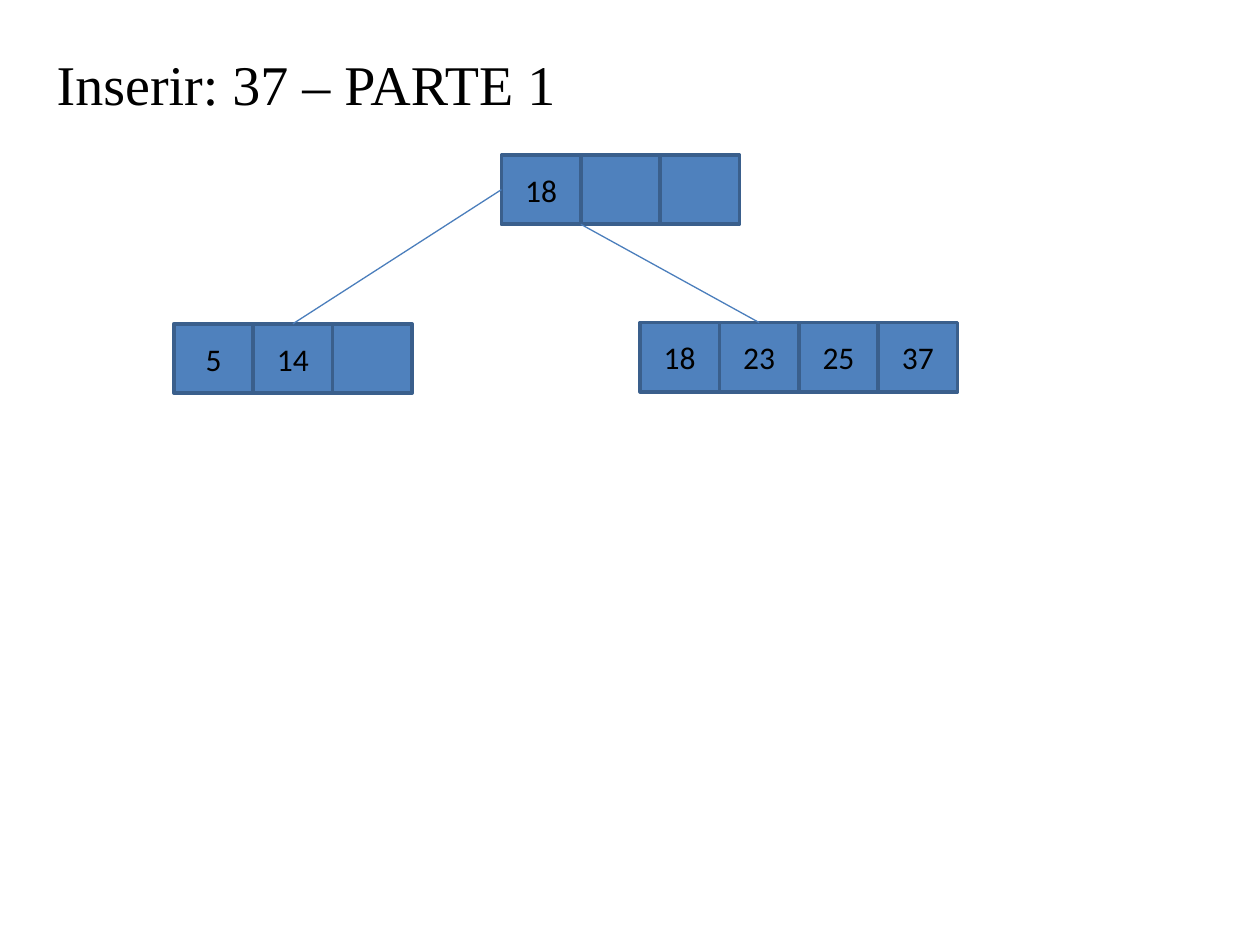
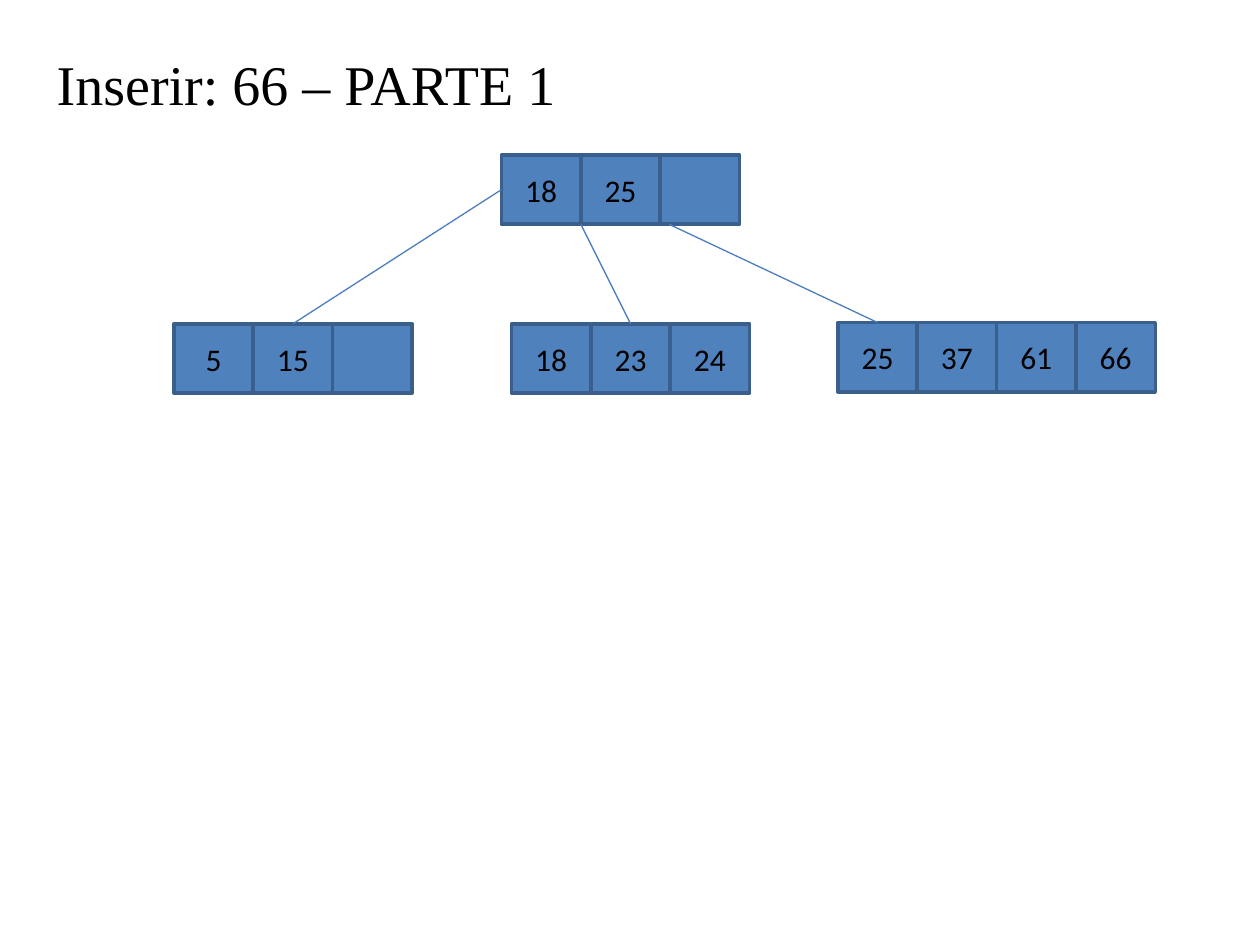
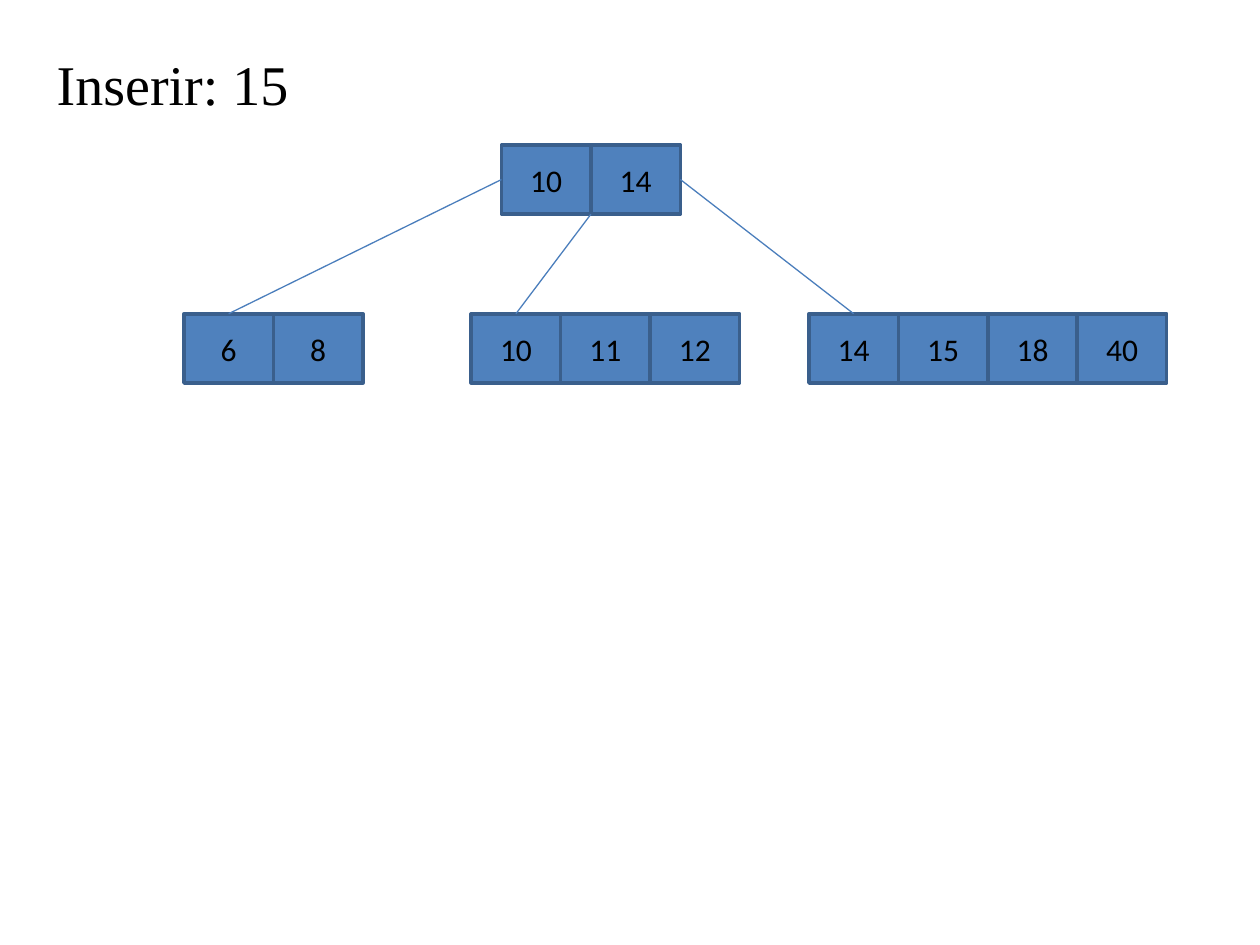
from dataclasses import dataclass

from lxml.etree import SubElement
from pptx import Presentation
from pptx.dml.color import RGBColor
from pptx.enum.shapes import MSO_CONNECTOR as Connector, MSO_SHAPE as Shape
from pptx.enum.text import MSO_ANCHOR as Anchor, MSO_AUTO_SIZE as AutoSize, PP_ALIGN as Align
from pptx.oxml.ns import qn
from pptx.util import Pt

EMU_PER_PX = 9144  # 100 px to the inch
SLIDE_WIDTH, SLIDE_HEIGHT = 1000, 750
NODE_HEIGHT = 55
ROOT_LEFT = 398
TITLE_LEFT, TITLE_TOP, TITLE_INSET = 35, 29, 10
TITLE_ONLY = 5

BLACK = RGBColor(0x00, 0x00, 0x00)
CELL_FILL = RGBColor(0x4F, 0x81, 0xBD)
CELL_LINE = RGBColor(0x3A, 0x5F, 0x8C)
BRANCH_LINE = RGBColor(0x4B, 0x7E, 0xBC)

TITLE_FONT = {"name": "Times New Roman", "size": Pt(32)}
CELL_FONT = {"name": "Calibri", "size": Pt(18)}

TOP, LEFT, RIGHT = 0, 1, 3


def px(length):
    return round(length * EMU_PER_PX)


@dataclass
class Leaf:
    """A leaf, the cell its branch enters, and where that branch leaves the root.

    The branch starts at root_side, or root_offset px along the root's bottom.
    """
    left: int
    top: int
    keys: list
    entry: int
    root_side: int = None
    root_offset: int = 0


@dataclass
class Tree:
    title: str
    title_size: tuple
    cell_width: int
    root_top: int
    root_keys: list
    leaves: list


TREES = [
    Tree("Inserir: 37 – PARTE 1", (450, 94), 63, 123, ["18", "", ""], [
        Leaf(138, 257, ["5", "14", ""], 1, root_side=LEFT),
        Leaf(508, 256, ["18", "23", "25", "37"], 1, root_offset=63),
    ]),
    Tree("Inserir: 66 – PARTE 1", (450, 94), 63, 123, ["18", "25", ""], [
        Leaf(138, 257, ["5", "15", ""], 1, root_side=LEFT),
        Leaf(406, 257, ["18", "23", "24"], 1, root_offset=63),
        Leaf(665, 256, ["25", "37", "61", "66"], 0, root_offset=133),
    ]),
    Tree("Inserir: 15", (528, 102), 71, 115, ["10", "14"], [
        Leaf(146, 249, ["6", "8"], 0, root_side=LEFT),
        Leaf(374, 249, ["10", "11", "12"], 0, root_offset=71),
        Leaf(642, 249, ["14", "15", "18", "40"], 0, root_side=RIGHT),
    ]),
]


def set_attributes(target, values):
    for name, value in values.items():
        setattr(target, name, value)


def write(frame, text, font, alignment):
    frame.text = text
    paragraph = frame.paragraphs[0]
    paragraph.alignment = alignment
    set_attributes(paragraph.font, font)
    paragraph.font.color.rgb = BLACK


def add_title(slide, text, size):
    title = slide.shapes.title
    set_attributes(title, {"left": px(TITLE_LEFT), "top": px(TITLE_TOP),
                           "width": px(size[0]), "height": px(size[1])})
    set_attributes(title.text_frame, {
        "vertical_anchor": Anchor.TOP, "word_wrap": True,
        "auto_size": AutoSize.NONE, "margin_top": px(TITLE_INSET)})
    write(title.text_frame, text, TITLE_FONT, Align.JUSTIFY)


def add_node(slide, left, top, cell_width, keys):
    """Draw one cell per key, side by side, and return the cells."""
    cells = []
    for index, key in enumerate(keys):
        cell = slide.shapes.add_shape(
            Shape.RECTANGLE, px(left + index * cell_width), px(top),
            px(cell_width), px(NODE_HEIGHT))
        cell.shadow.inherit = False
        cell.fill.solid()
        cell.fill.fore_color.rgb = CELL_FILL
        cell.line.color.rgb = CELL_LINE
        cell.line.width = Pt(2)
        if key:
            cell.text_frame.vertical_anchor = Anchor.MIDDLE
            write(cell.text_frame, key, CELL_FONT, Align.CENTER)
        cells.append(cell)
    return cells


def add_branch(slide, root_cells, leaf, entry_cell):
    first_cell = root_cells[0]
    start_x = first_cell.left + px(leaf.root_offset)
    start_y = first_cell.top + first_cell.height
    branch = slide.shapes.add_connector(
        Connector.STRAIGHT, start_x, start_y, entry_cell.left, entry_cell.top)
    if leaf.root_side is not None:
        outer_cell = root_cells[-1] if leaf.root_side == RIGHT else first_cell
        branch.begin_connect(outer_cell, leaf.root_side)
    branch.end_connect(entry_cell, TOP)
    branch.line.color.rgb = BRANCH_LINE
    branch.line.width = Pt(0.75)
    SubElement(branch._element.spPr, qn("a:effectLst"))


def add_tree_slide(presentation, tree):
    slide = presentation.slides.add_slide(presentation.slide_layouts[TITLE_ONLY])
    add_title(slide, tree.title, tree.title_size)
    root_cells = add_node(slide, ROOT_LEFT, tree.root_top, tree.cell_width, tree.root_keys)
    for leaf in tree.leaves:
        leaf_cells = add_node(slide, leaf.left, leaf.top, tree.cell_width, leaf.keys)
        add_branch(slide, root_cells, leaf, leaf_cells[leaf.entry])


def main():
    presentation = Presentation()
    presentation.slide_width = px(SLIDE_WIDTH)
    presentation.slide_height = px(SLIDE_HEIGHT)
    for tree in TREES:
        add_tree_slide(presentation, tree)
    presentation.save("out.pptx")


if __name__ == "__main__":
    main()
